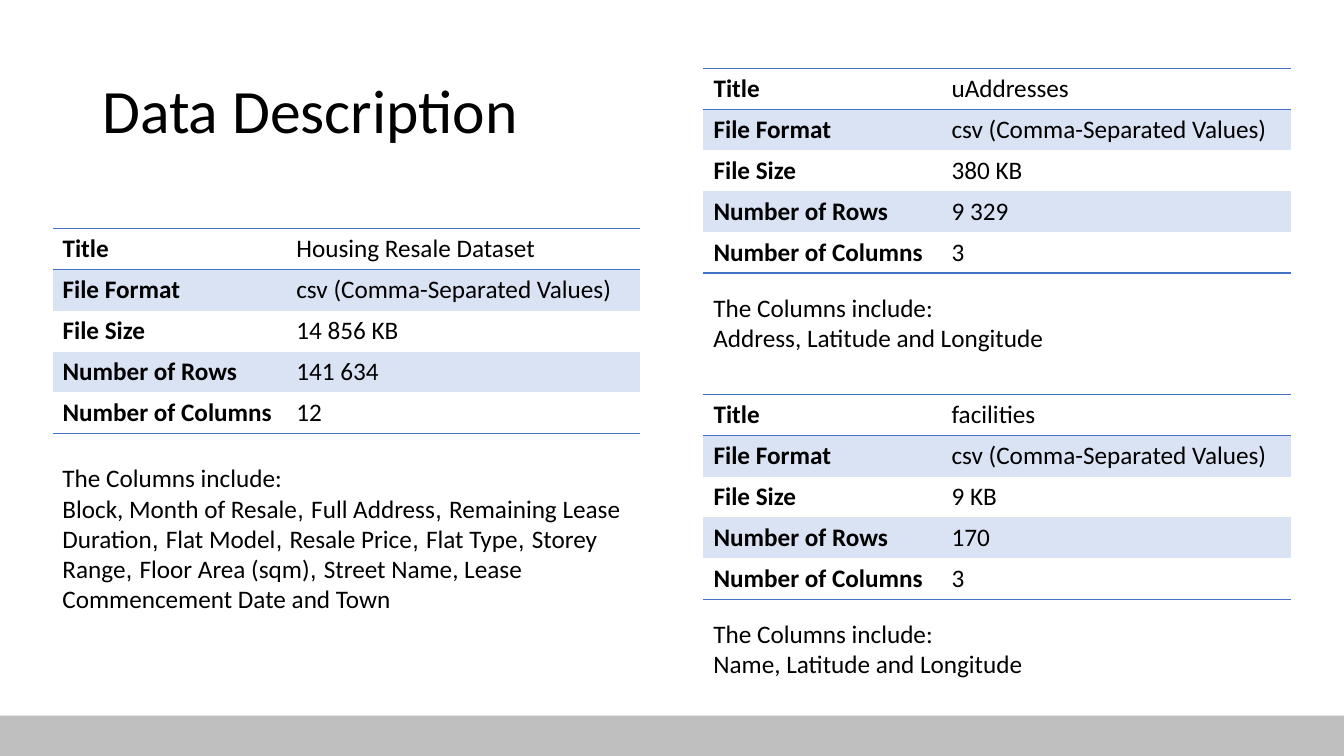
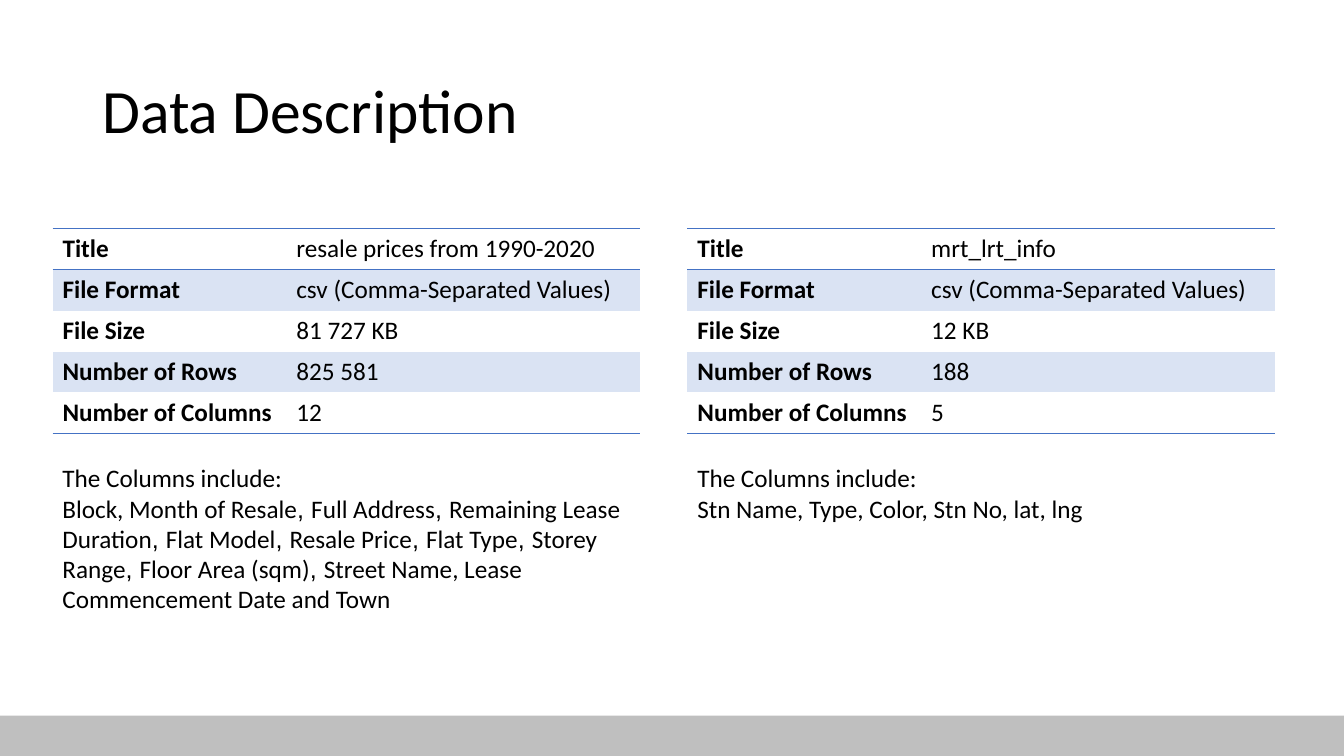
"""Build two slides that describe the datasets of a housing study."""
from lxml import etree
from pptx import Presentation
from pptx.dml.color import RGBColor
from pptx.enum.shapes import MSO_SHAPE
from pptx.enum.text import MSO_ANCHOR, MSO_AUTO_SIZE
from pptx.oxml.ns import qn
from pptx.util import Pt

RECTANGLE = MSO_SHAPE.RECTANGLE
MIDDLE = MSO_ANCHOR.MIDDLE
GROW = MSO_AUTO_SIZE.SHAPE_TO_FIT_TEXT

BLACK = RGBColor(0x00, 0x00, 0x00)
WHITE = RGBColor(0xFF, 0xFF, 0xFF)
GREY = RGBColor(0xBF, 0xBF, 0xBF)
BLUE = RGBColor(0x44, 0x72, 0xC4)
PALE_BLUE = RGBColor(0xDA, 0xE3, 0xF3)

BODY_FONT = "Calibri"
COMMA_FONT = "Arial"
NO_GRID_STYLE = "{2D5ABB26-0587-4C30-8999-92F81FD0307C}"

SLIDE_WIDTH, SLIDE_HEIGHT = 960, 540
BAND_HEIGHT = 28.8
BLOCK_WIDTH = 420
ROW_HEIGHT = 29.2
LEFT_X, RIGHT_X = 37.5, 491
SIDE_X = 502.5
MAIN_Y = 163.5
WIDE_GAP, NARROW_GAP = 163.5, 156
LABEL_WIDTH, SIDE_LABEL_WIDTH = 167, 170

LABELS = ["Title", "File Format", "File Size", "Number of Rows", "Number of Columns"]
CSV = "csv (Comma-Separated Values)"
RESALE_COLUMNS = [
    "Block, Month of Resale", "Full Address", "Remaining Lease Duration",
    "Flat Model", "Resale Price", "Flat Type", "Storey Range",
    "Floor Area (sqm)", "Street Name, Lease Commencement Date and Town",
]


def add_run(paragraph, text, size=18, font=BODY_FONT, bold=False):
    """Append one formatted run to a paragraph."""
    run = paragraph.add_run()
    run.text = text
    run.font.name = font
    run.font.size = Pt(size)
    run.font.bold = bold
    run.font.color.rgb = BLACK


def add_text_frame(slide, left, top, width, height):
    """Add a wrapping text box and return its text frame."""
    frame = slide.shapes.add_textbox(Pt(left), Pt(top), Pt(width), Pt(height)).text_frame
    frame.word_wrap = True
    return frame


def add_base_slide(deck, heading):
    """Add a blank slide with the shared footer band and title."""
    slide = deck.slides.add_slide(deck.slide_layouts[6])
    band = slide.shapes.add_shape(
        RECTANGLE, 0, Pt(SLIDE_HEIGHT - BAND_HEIGHT), Pt(SLIDE_WIDTH), Pt(BAND_HEIGHT))
    band.shadow.inherit = False
    band.fill.solid()
    band.fill.fore_color.rgb = GREY
    band.line.fill.background()
    title = add_text_frame(slide, 66, 28.75, 828, 104.4)
    title.vertical_anchor = MIDDLE
    title.paragraphs[0].line_spacing = 0.9
    add_run(title.paragraphs[0], heading, size=44)
    return slide


def add_border(cell, edge):
    """Draw a blue rule on one edge of a cell, before its fill is set."""
    rule = etree.SubElement(cell._tc.get_or_add_tcPr(), qn(f"a:{edge}"), w=str(Pt(1)))
    colour = etree.SubElement(etree.SubElement(rule, qn("a:solidFill")), qn("a:srgbClr"))
    colour.set("val", str(BLUE))


def add_facts_table(slide, left, top, values, label_width):
    """Add the two-column table of facts about one dataset."""
    table = slide.shapes.add_table(
        len(LABELS), 2, Pt(left), Pt(top),
        Pt(BLOCK_WIDTH), Pt(ROW_HEIGHT * len(LABELS))).table
    table.first_row = False
    table.horz_banding = False
    table._tbl.tblPr.find(qn("a:tableStyleId")).text = NO_GRID_STYLE
    table.columns[0].width = Pt(label_width)
    table.columns[1].width = Pt(BLOCK_WIDTH - label_width)
    for row, pair in enumerate(zip(LABELS, values)):
        table.rows[row].height = Pt(ROW_HEIGHT)
        for column, text in enumerate(pair):
            cell = table.cell(row, column)
            if row == 0:
                add_border(cell, "lnT")
            if row in (0, len(LABELS) - 1):
                add_border(cell, "lnB")
            cell.fill.solid()
            cell.fill.fore_color.rgb = PALE_BLUE if row % 2 else WHITE
            add_run(cell.text_frame.paragraphs[0], text, bold=column == 0)


def add_columns_note(slide, left, top, names):
    """Add the note that lists the columns of one dataset."""
    height = 138.2 if len(names) > 1 else 51
    frame = add_text_frame(slide, left, top, BLOCK_WIDTH, height)
    frame.auto_size = GROW
    add_run(frame.paragraphs[0], "The Columns include:")
    listing = frame.add_paragraph()
    for index, name in enumerate(names):
        if index:
            add_run(listing, ", ", font=COMMA_FONT)
        add_run(listing, name)


def add_dataset(slide, left, top, facts, names, label_width=LABEL_WIDTH, note_gap=WIDE_GAP):
    """Add the table of one dataset with its column note below."""
    title, size, rows, columns = facts
    add_facts_table(slide, left, top, [title, CSV, size, rows, columns], label_width)
    add_columns_note(slide, left, top + note_gap, names)


def main():
    """Build both slides and save the deck."""
    deck = Presentation()
    deck.slide_width, deck.slide_height = Pt(SLIDE_WIDTH), Pt(SLIDE_HEIGHT)

    slide = add_base_slide(deck, "Data Description")
    add_dataset(slide, LEFT_X, MAIN_Y,
                ("Housing Resale Dataset", "14 856 KB", "141 634", "12"), RESALE_COLUMNS)
    add_dataset(slide, SIDE_X, 49, ("uAddresses", "380 KB", "9 329", "3"),
                ["Address, Latitude and Longitude"], SIDE_LABEL_WIDTH, NARROW_GAP)
    add_dataset(slide, SIDE_X, 282, ("facilities", "9 KB", "170", "3"),
                ["Name, Latitude and Longitude"], SIDE_LABEL_WIDTH, NARROW_GAP)

    slide = add_base_slide(deck, "Data Description")
    add_dataset(slide, LEFT_X, MAIN_Y,
                ("resale prices from 1990-2020", "81 727 KB", "825 581", "12"), RESALE_COLUMNS)
    add_dataset(slide, RIGHT_X, MAIN_Y, ("mrt_lrt_info", "12 KB", "188", "5"),
                ["Stn Name, Type, Color, Stn No, lat, lng"])

    deck.save("out.pptx")


if __name__ == "__main__":
    main()
